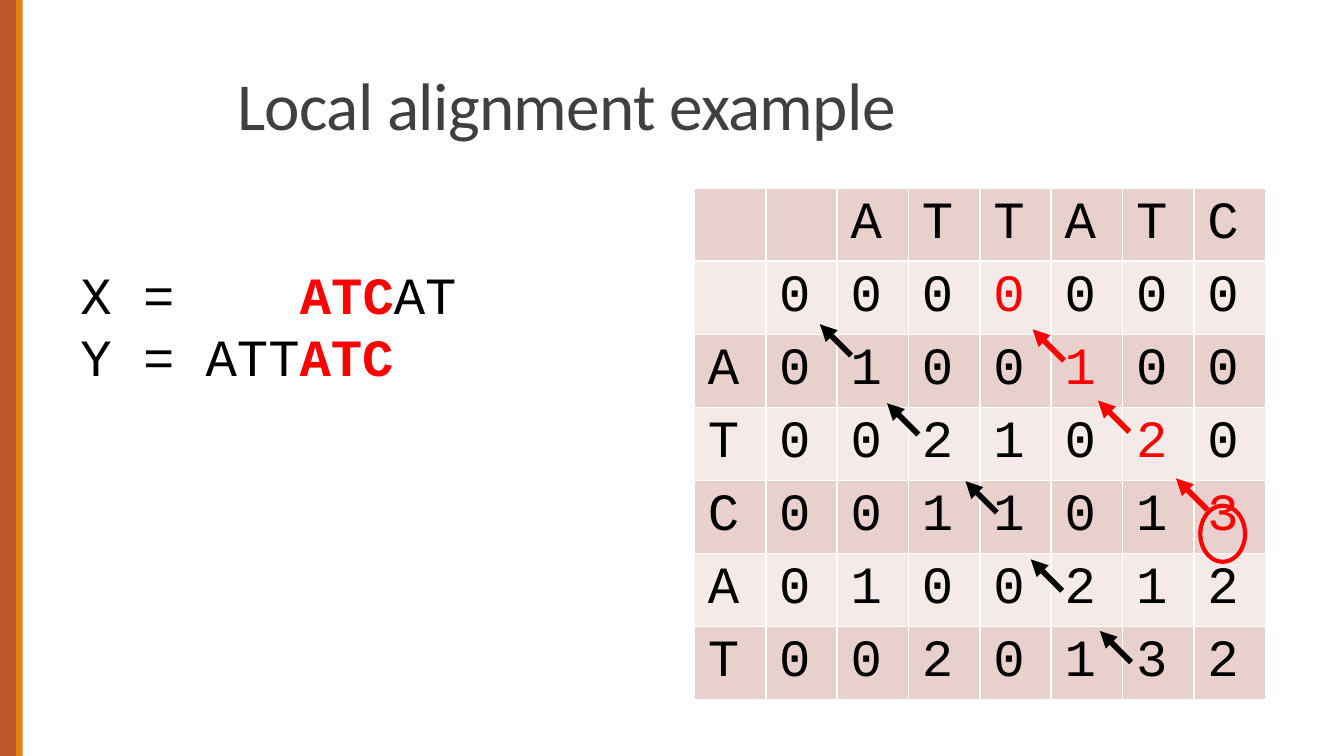
"""Build a slide on local alignment with a score table and traceback arrows."""
import lxml.etree
import pptx
import pptx.dml.color
import pptx.enum.shapes
import pptx.enum.text
import pptx.oxml.ns
import pptx.util

Pt = pptx.util.Pt
RGBColor = pptx.dml.color.RGBColor
Shape = pptx.enum.shapes.MSO_SHAPE
qn = pptx.oxml.ns.qn

RUST = RGBColor(0xBD, 0x58, 0x2C)
ORANGE = RGBColor(0xE4, 0x83, 0x12)
GRAY = RGBColor(0x40, 0x40, 0x40)
BLACK = RGBColor(0, 0, 0)
RED = RGBColor(0xFF, 0, 0)
WHITE = RGBColor(0xFF, 0xFF, 0xFF)
BANDS = RGBColor(0xE8, 0xD1, 0xCD), RGBColor(0xF4, 0xEA, 0xE8)

SCORES = [
    "  ATTATC",
    " 0000000",
    "A0100100",
    "T0021020",
    "C0011013",
    "A0100212",
    "T0020132",
]
RED_TIPS = [(630, 256.3), (588.2, 214.6), (553.2, 176.4)]
BLACK_TIPS = [(589.2, 338), (552.2, 299.7), (517.2, 257.8), (475.2, 216), (439.2, 173.7)]


def write(para, text, font="Courier New", size=28, color=BLACK, bold=False, gap=None):
    run = para.add_run()
    run.text = text
    run.font.name = font
    run.font.size = Pt(size)
    run.font.bold = bold
    run.font.color.rgb = color
    if gap is not None:
        run.font._element.set("spc", str(gap))


def add(parent, tag, **attrs):
    return lxml.etree.SubElement(parent, qn(tag), **attrs)


class Board:
    def __init__(self, deck):
        self.slide = deck.slides.add_slide(deck.slide_layouts[5])
        self.shapes = self.slide.shapes

    def shape(self, kind, box, fill=None, line=None, width=2.25):
        item = self.shapes.add_shape(kind, *map(Pt, box))
        item.shadow.inherit = False
        if fill is None:
            item.fill.background()
        else:
            item.fill.solid()
            item.fill.fore_color.rgb = fill
        if line is None:
            item.line.fill.background()
        else:
            item.line.color.rgb = line
            item.line.width = Pt(width)

    def title(self, text, box):
        item = self.shapes.title
        item.left, item.top, item.width, item.height = map(Pt, box)
        frame = item.text_frame
        frame.auto_size = pptx.enum.text.MSO_AUTO_SIZE.NONE
        frame.vertical_anchor = pptx.enum.text.MSO_ANCHOR.BOTTOM
        para = frame.paragraphs[0]
        para.alignment = pptx.enum.text.PP_ALIGN.LEFT
        para.line_spacing = 0.85
        write(para, text, font="Calibri", size=36, color=GRAY, gap=-40)

    def text(self, lines, box, tab):
        frame = self.shapes.add_textbox(*map(Pt, box)).text_frame
        frame.word_wrap = True
        for i, runs in enumerate(lines):
            para = frame.add_paragraph() if i else frame.paragraphs[0]
            stops = add(para._p.get_or_add_pPr(), "a:tabLst")
            add(stops, "a:tab", pos=str(Pt(tab)), algn="l")
            for text, hit in runs:
                write(para, text, color=RED if hit else BLACK, bold=hit)

    def cell(self, cell, text, fill, color):
        props = cell._tc.get_or_add_tcPr()
        for side in ("a:lnL", "a:lnR", "a:lnT", "a:lnB"):
            line = add(props, side, w=str(Pt(1)))
            add(add(line, "a:solidFill"), "a:srgbClr", val=str(WHITE))
        cell.fill.solid()
        cell.fill.fore_color.rgb = fill
        if text.strip():
            write(cell.text_frame.paragraphs[0], text, color=color)

    def table(self, rows, left, top, wide, high):
        count = len(rows[0])
        box = left, top, wide * count, high * len(rows)
        grid = self.shapes.add_table(len(rows), count, *map(Pt, box)).table
        for col in grid.columns:
            col.width = Pt(wide)
        for r, row in enumerate(rows):
            grid.rows[r].height = Pt(high)
            for c, text in enumerate(row):
                color = RED if r and c - r == 3 else BLACK
                self.cell(grid.cell(r, c), text, BANDS[r % 2], color)

    def arrow(self, x, y, color, reach=16.8):
        ends = x + reach, y + reach, x, y
        kind = pptx.enum.shapes.MSO_CONNECTOR.STRAIGHT
        item = self.shapes.add_connector(kind, *map(Pt, ends))
        item.line.color.rgb = color
        item.line.width = Pt(3)
        add(item.line._get_or_add_ln(), "a:tailEnd", type="triangle")
        add(item._element.spPr, "a:effectLst")


def main():
    deck = pptx.Presentation()
    deck.slide_width, deck.slide_height = Pt(720), Pt(405)
    board = Board(deck)
    board.shape(Shape.RECTANGLE, (0, 0, 12, 405), fill=RUST)
    board.shape(Shape.RECTANGLE, (8.5, 0, 3.5, 405), fill=ORANGE)
    board.title("Local alignment example", (120, 22.5, 588, 58.5))
    board.table(SCORES, left=372, top=100.8, wide=38.25, high=39.15)
    for tips, color in ((RED_TIPS, RED), (BLACK_TIPS, BLACK)):
        for x, y in tips:
            board.arrow(x, y, color)
    lines = [
        [("X =\t", False), ("ATC", True), ("AT", False)],
        [("Y = ATT", False), ("ATC", True)],
    ]
    board.text(lines, (36, 136.8, 234, 104.4), tab=117.6)
    board.shape(Shape.OVAL, (643, 271, 24, 30), line=RED)
    deck.save("out.pptx")


if __name__ == "__main__":
    main()
